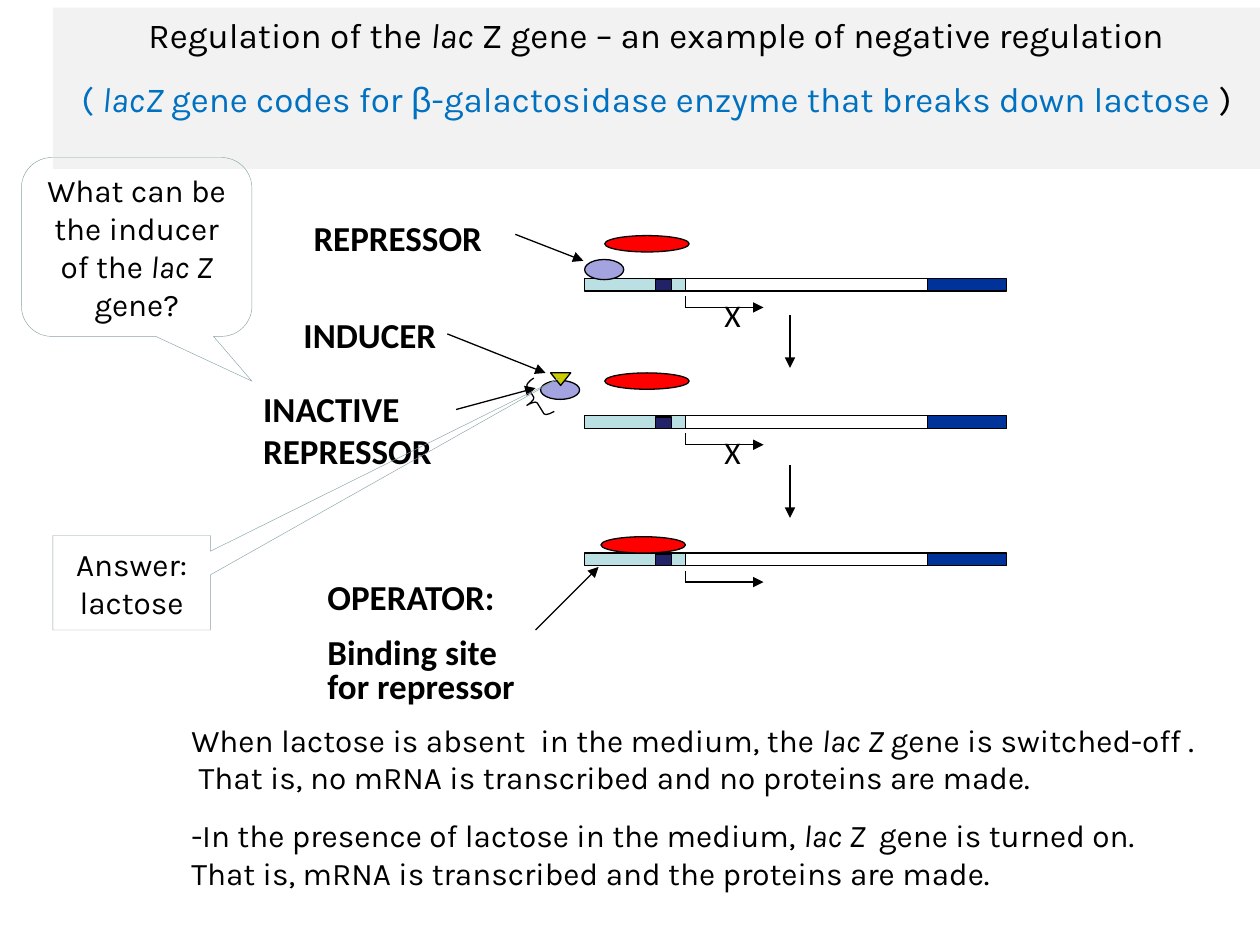
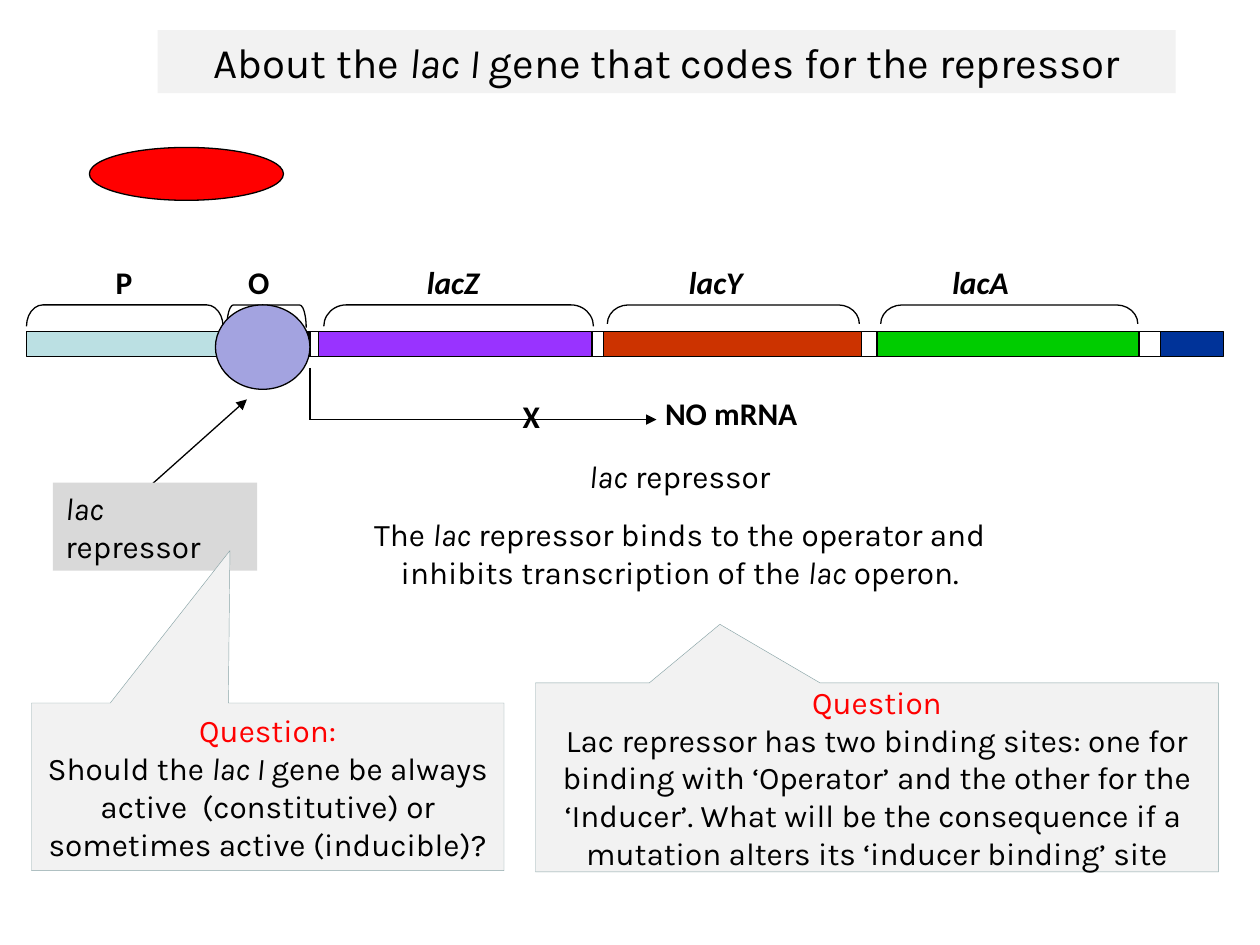
from dataclasses import dataclass
from typing import Optional

from lxml.etree import SubElement
from pptx import Presentation
from pptx.dml.color import RGBColor
from pptx.enum.shapes import MSO_CONNECTOR, MSO_SHAPE
from pptx.enum.text import MSO_ANCHOR, MSO_AUTO_SIZE, PP_ALIGN
from pptx.oxml.ns import qn
from pptx.util import Emu, Inches, Pt

COLUMNS, ROWS = 10, 7.5
SLIDE_WIDTH, SLIDE_HEIGHT = Inches(10), Inches(7.5)


@dataclass(frozen=True)
class Theme:
    ink: str = "000000"
    blue: str = "0070C0"
    question: str = "FF0000"
    band: str = "F2F2F2"
    tag: str = "D9D9D9"
    callout_edge: str = "89A4A7"
    promoter: str = "BBE0E3"
    operator: str = "222268"
    terminator: str = "003399"
    polymerase: str = "FF0000"
    repressor: str = "A3A3E0"
    inducer: str = "CCCC00"
    lac_z: str = "9933FF"
    lac_y: str = "CC3300"
    lac_a: str = "00CC00"
    prose: str = "Karla"
    label: str = "Calibri"
    greek: str = "Arial"
    body: int = 18
    heading: int = 20
    title: int = 24
    outline: float = 0.75
    hairline: float = 0.25
    gap: float = 0.625  # space between paragraphs, as a share of the type size


THEME = Theme()


@dataclass(frozen=True)
class Run:
    text: str
    color: Optional[str] = None
    font: Optional[str] = None


@dataclass(frozen=True)
class Para:
    """Pieces of one paragraph; asterisks in a plain string enclose italics."""
    pieces: tuple
    color: str = THEME.ink


def x(columns):
    return Emu(round(SLIDE_WIDTH * columns / COLUMNS))


def y(rows):
    return Emu(round(SLIDE_HEIGHT * rows / ROWS))


def place(left, top, width, height):
    return x(left), y(top), x(width), y(height)


def rgb(code):
    return RGBColor.from_string(code)


def add_run(paragraph, text, italic=False, color=None, font=None):
    run = paragraph.add_run()
    run.text = text
    if italic:
        run.font.italic = True
    if color:
        run.font.color.rgb = rgb(color)
    if font:
        run.font.name = font


def write(shape, paras, size=THEME.body, font=THEME.prose, bold=False,
          align=PP_ALIGN.LEFT, gap=THEME.gap, leading=None,
          anchor=MSO_ANCHOR.TOP, grow=True):
    frame = shape.text_frame
    frame.word_wrap = True
    frame.vertical_anchor = anchor
    frame.auto_size = MSO_AUTO_SIZE.SHAPE_TO_FIT_TEXT if grow else MSO_AUTO_SIZE.NONE
    for index, para in enumerate(paras):
        if isinstance(para, str):
            para = Para((para,))
        paragraph = frame.add_paragraph() if index else frame.paragraphs[0]
        paragraph.alignment = align
        if index:
            paragraph.space_before = Pt(size * gap)
        if leading:
            paragraph.line_spacing = leading
        paragraph.font.size = Pt(size)
        paragraph.font.name = font
        paragraph.font.bold = bold
        paragraph.font.color.rgb = rgb(para.color)
        for piece in para.pieces:
            if isinstance(piece, Run):
                add_run(paragraph, piece.text, color=piece.color, font=piece.font)
                continue
            for order, text in enumerate(piece.split("*")):
                if text:
                    add_run(paragraph, text, italic=order % 2 == 1)


def text_box(slide, box, paras, **style):
    write(slide.shapes.add_textbox(*place(*box)), paras, **style)


def label(slide, box, *paras, size=THEME.body, bold=True, **style):
    text_box(slide, box, paras, size=size, font=THEME.label, bold=bold, **style)


def solid(slide, kind, box, fill=None, edge=THEME.ink, weight=THEME.outline):
    shape = slide.shapes.add_shape(kind, *place(*box))
    shape.shadow.inherit = False
    if fill:
        shape.fill.solid()
        shape.fill.fore_color.rgb = rgb(fill)
    else:
        shape.fill.background()
    if edge:
        shape.line.color.rgb = rgb(edge)
        shape.line.width = Pt(weight)
    else:
        shape.line.fill.background()
    return shape


def bar(slide, box, fill=None):
    return solid(slide, MSO_SHAPE.RECTANGLE, box, fill)


def oval(slide, box, fill):
    return solid(slide, MSO_SHAPE.OVAL, box, fill)


def panel(slide, box, paras, fill=THEME.band, **style):
    """Borderless filled box with text."""
    write(solid(slide, MSO_SHAPE.RECTANGLE, box, fill, edge=None), paras, **style)


def callout(slide, kind, box, pointer, paras, fill=None):
    bubble = solid(slide, kind, box, fill, THEME.callout_edge, THEME.hairline)
    for index, value in enumerate(pointer):
        bubble.adjustments[index] = value
    write(bubble, paras, align=PP_ALIGN.CENTER, gap=0,
          anchor=MSO_ANCHOR.MIDDLE, grow=False)


def line(slide, start, end, arrow=True):
    connector = slide.shapes.add_connector(
        MSO_CONNECTOR.STRAIGHT, x(start[0]), y(start[1]), x(end[0]), y(end[1]))
    connector.line.color.rgb = rgb(THEME.ink)
    connector.line.width = Pt(THEME.outline)
    if arrow:
        SubElement(connector.line._get_or_add_ln(), qn("a:tailEnd"), type="triangle")
    SubElement(connector._element.spPr, qn("a:effectLst"))


def transcription_arrow(slide, left, top, bend, right):
    line(slide, (left, top), (left, bend), arrow=False)
    line(slide, (left, bend), (right, bend))


def bracket(slide, left, top, length, depth):
    """Square bracket with rounded corners, lying open side down."""
    middle_x, middle_y = left + length / 2, top + depth / 2
    box = middle_x - depth / 2, middle_y - length / 2, depth, length
    shape = solid(slide, MSO_SHAPE.LEFT_BRACKET, box)
    shape.adjustments[0] = length / depth / 12
    shape.rotation = 90


def strand(slide, top, height, edges):
    """Promoter, coding region and terminator between the four edges."""
    fills = THEME.promoter, None, THEME.terminator
    for left, right, fill in zip(edges, edges[1:], fills):
        bar(slide, (left, top, right - left, height), fill)


def lac_z_state(slide, top, bound):
    """One stage of lac Z: polymerase bound and transcribing, or blocked."""
    strand(slide, top, 0.1, (4.64, 5.44, 7.36, 7.99))
    bar(slide, (5.2, top + 0.01, 0.13, 0.09), THEME.operator)
    polymerase = (4.77, top - 0.13) if bound else (4.8, top - 0.34)
    oval(slide, (*polymerase, 0.67, 0.13), THEME.polymerase)
    transcription_arrow(slide, 5.44, top + 0.14, top + 0.23, 6.06)
    if not bound:
        label(slide, (5.65, top + 0.09, 0.39, 0.4), "X", bold=False)


def regulation_slide(slide):
    text_box(slide, (1.42, 5.67, 8.17, 1.46), (
        "When lactose is absent  in the medium, the *lac Z *gene is switched-off .  "
        "That is, no mRNA is transcribed and no proteins are made.",
        "-In the presence of lactose in the medium, *lac Z  *gene is turned on.  "
        "That is, mRNA is transcribed and the proteins are made."))

    first, step = 2.21, 1.09
    for stage in range(3):
        lac_z_state(slide, first + stage * step, bound=stage == 2)
    for start in (2.5, 3.69):
        line(slide, (6.27, start), (6.27, start + 0.42))

    oval(slide, (4.64, 2.06, 0.31, 0.16), THEME.repressor)
    oval(slide, (4.29, 3.02, 0.31, 0.15), THEME.repressor)
    inducer = solid(slide, MSO_SHAPE.ISOSCELES_TRIANGLE,
                    (4.37, 2.96, 0.16, 0.1), THEME.inducer)
    inducer._element.spPr.xfrm.set("flipV", "1")
    brace = solid(slide, MSO_SHAPE.LEFT_BRACE, (4.17, 3.02, 0.16, 0.31))
    brace.adjustments[0] = 0.16
    brace.rotation = 328.3

    for box, name in (((2.39, 1.67, 1.87, 0.44), "REPRESSOR"),
                      ((2.31, 2.44, 1.48, 0.44), "INDUCER"),
                      ((1.99, 3.03, 1.87, 0.77), "INACTIVE REPRESSOR")):
        label(slide, box, name, size=THEME.heading)
    label(slide, (2.5, 4.58, 1.92, 1.08), "OPERATOR:", "Binding site for repressor",
          size=THEME.heading, leading=0.8)
    for start, end in (((4.09, 1.86), (4.63, 2.07)), ((3.55, 2.65), (4.33, 2.96)),
                       ((3.62, 3.25), (4.25, 3.08)), ((4.25, 5), (4.75, 4.5))):
        line(slide, start, end)

    panel(slide, (0.42, 0.06, 9.58, 1.28), (
        "Regulation of the *lac* Z gene – an example of negative regulation",
        Para(("( *lacZ *gene codes for ", Run("β", font=THEME.greek),
              "-galactosidase enzyme that breaks down lactose ",
              Run(")", color=THEME.ink)), THEME.blue)),
        size=THEME.heading, align=PP_ALIGN.CENTER)
    callout(slide, MSO_SHAPE.ROUNDED_RECTANGULAR_CALLOUT, (0.17, 1.25, 1.83, 1.42),
            (0.5, 0.75, 0.17), ("What can be the inducer of the *lac Z *gene?",))
    callout(slide, MSO_SHAPE.RECTANGULAR_CALLOUT, (0.42, 4.25, 1.25, 0.75),
            (2.72, -2.17), ("Answer:", "lactose"))


def repressor_slide(slide):
    strand(slide, 2.63, 0.2, (0.21, 2.46, 9.21, 9.71))
    bar(slide, (1.79, 2.63, 0.67, 0.19), THEME.ink)
    for left, width, fill in ((2.53, 2.17, THEME.lac_z), (4.79, 2.05, THEME.lac_y),
                              (6.96, 2.08, THEME.lac_a)):
        bar(slide, (left, 2.63, width, 0.2), fill)

    for name, name_left, name_width, left, length, depth in (
            ("P", 0.82, 0.58, 0.21, 1.56, 0.17),
            ("O", 1.87, 0.58, 1.8, 0.63, 0.18),
            ("*lacZ*", 3.29, 1, 2.57, 2.14, 0.17),
            ("*lacY*", 5.37, 1, 4.82, 2, 0.15),
            ("*lacA*", 7.46, 1, 6.99, 2.04, 0.15)):
        bracket(slide, left, 2.42, length, depth)
        label(slide, (name_left, 2.04, name_width, 0.4), name)

    oval(slide, (0.71, 1.17, 1.54, 0.42), THEME.polymerase)
    oval(slide, (1.71, 2.42, 0.75, 0.67), THEME.repressor)
    line(slide, (1.12, 3.92), (1.96, 3.17))
    panel(slide, (0.42, 3.83, 1.62, 0.7), ("*lac* repressor",), THEME.tag)

    transcription_arrow(slide, 2.46, 2.92, 3.33, 5.21)
    label(slide, (4.05, 3.1, 0.5, 0.4), "X")
    label(slide, (5.18, 3.08, 1.83, 0.4), "NO mRNA")
    text_box(slide, (2.5, 3.58, 5.79, 1.16), (
        "*lac* repressor",
        "The *lac* repressor binds to the operator and inhibits transcription "
        "of the *lac* operon."), align=PP_ALIGN.CENTER)

    panel(slide, (1.25, 0.24, 8.08, 0.5),
          ("About the *lac I *gene that codes for the repressor",),
          size=THEME.title, align=PP_ALIGN.CENTER)
    for box, pointer, heading, question in (
            ((0.25, 5.58, 3.75, 1.33), (-0.08, -1.41), "Question:",
             "Should the *lac I *gene be always active  (constitutive) or "
             "sometimes active (inducible)?"),
            ((4.25, 5.42, 5.42, 1.5), (-0.23, -0.81), "Question",
             "Lac repressor has two binding sites: one for binding with ‘Operator’ "
             "and the other for the ‘Inducer’. What will be the consequence if a  "
             "mutation alters its ‘inducer binding’ site")):
        callout(slide, MSO_SHAPE.RECTANGULAR_CALLOUT, box, pointer,
                (Para((heading,), THEME.question), question), THEME.band)


def main():
    deck = Presentation()
    deck.slide_width, deck.slide_height = SLIDE_WIDTH, SLIDE_HEIGHT
    blank = deck.slide_layouts[6]
    for build in (regulation_slide, repressor_slide):
        build(deck.slides.add_slide(blank))
    deck.save("out.pptx")


if __name__ == "__main__":
    main()
